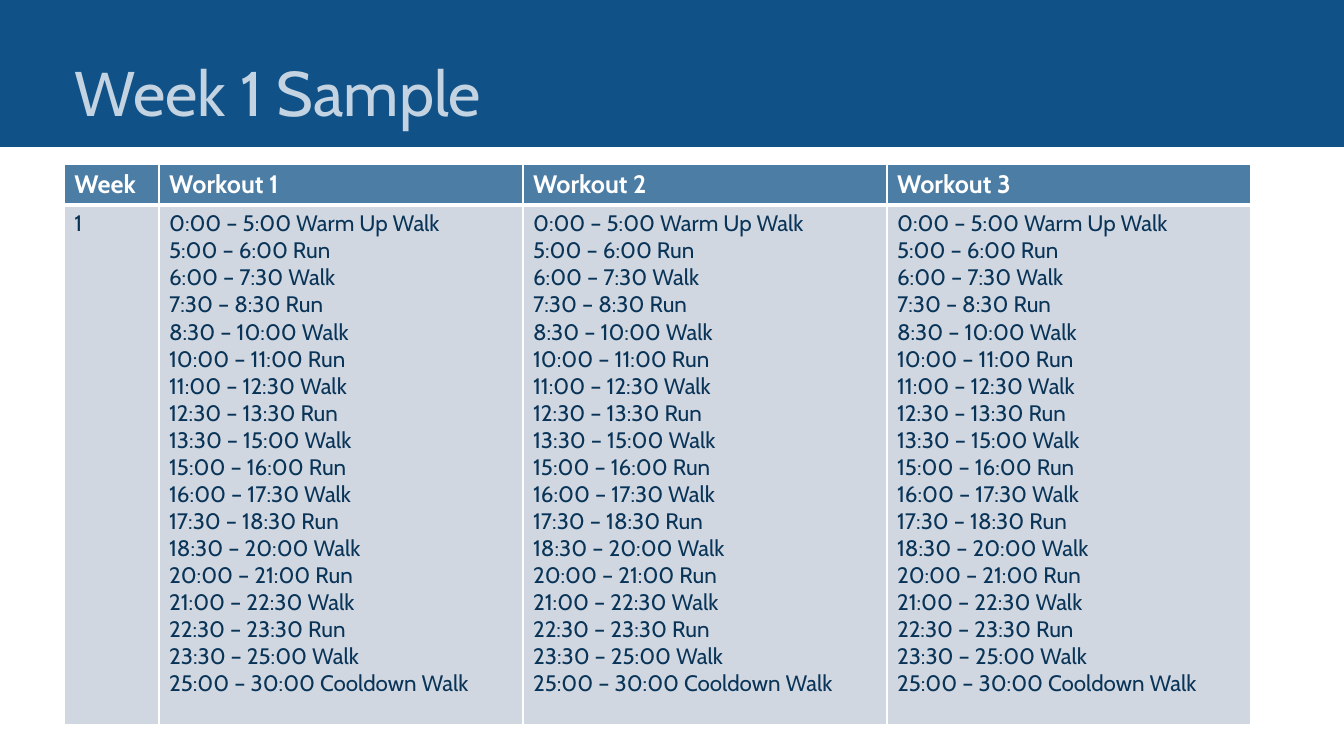
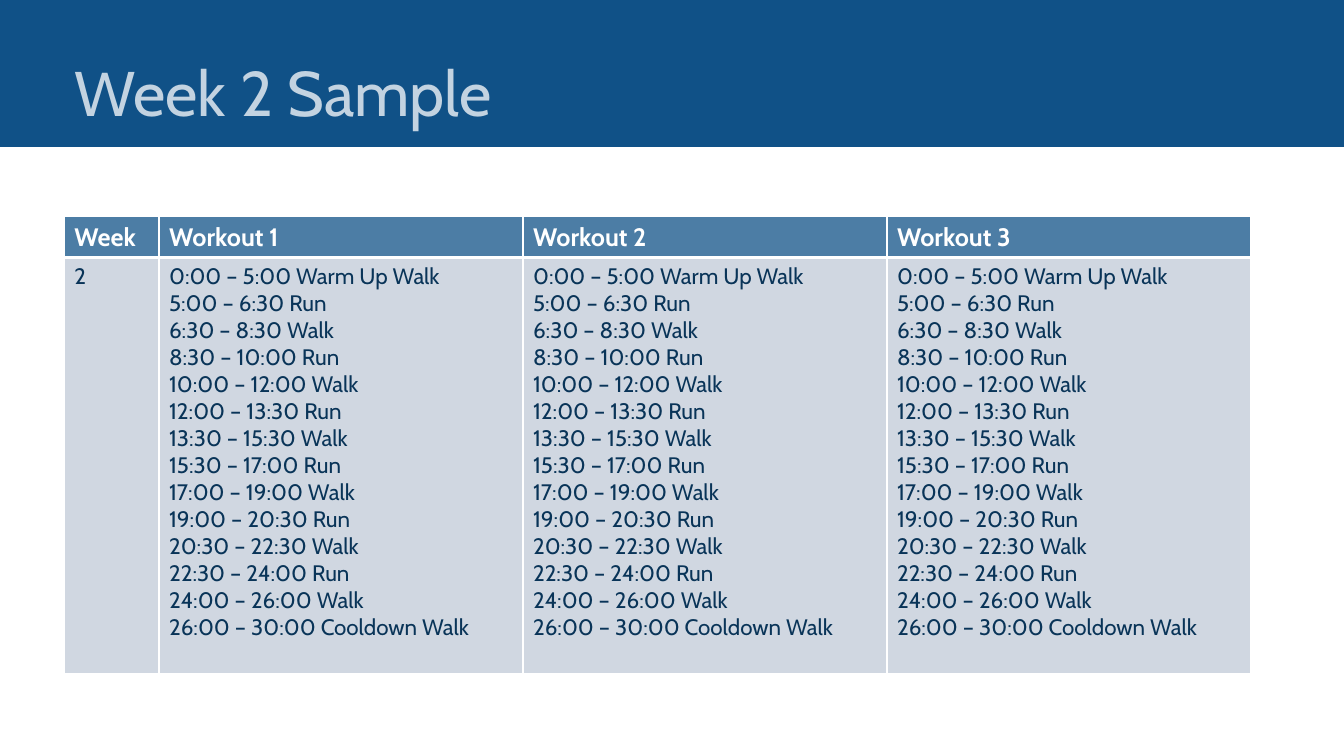
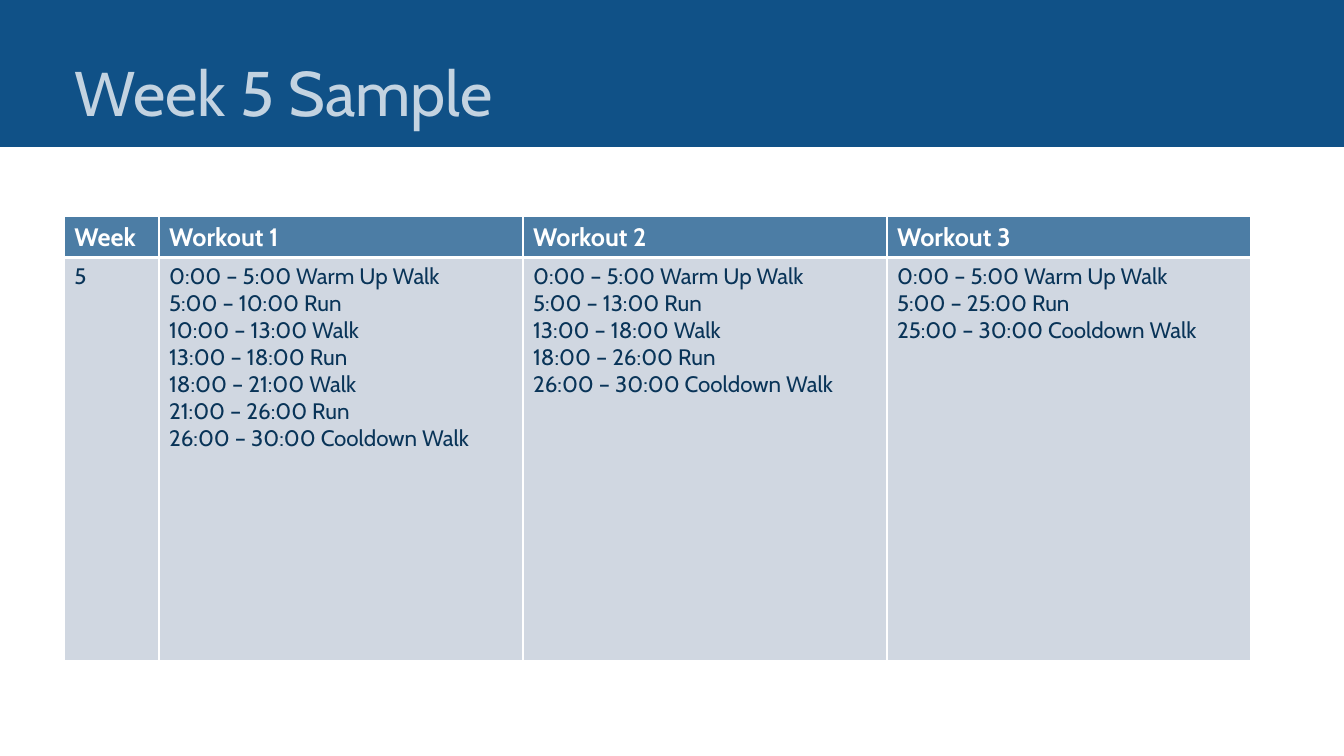
from pptx import Presentation
from pptx.dml.color import RGBColor
from pptx.enum.shapes import MSO_SHAPE
from pptx.enum.text import MSO_ANCHOR, MSO_AUTO_SIZE, PP_ALIGN
from pptx.oxml import parse_xml
from pptx.oxml.ns import nsdecls
from pptx.util import Pt

RECT = MSO_SHAPE.RECTANGLE
BOTTOM = MSO_ANCHOR.BOTTOM
LEFT = PP_ALIGN.LEFT
NO_AUTOFIT = MSO_AUTO_SIZE.NONE

BAND_BLUE = RGBColor(0x10, 0x51, 0x87)
TITLE_BLUE = RGBColor(0xC3, 0xD3, 0xE1)
HEADER_BLUE = RGBColor(0x4C, 0x7D, 0xA5)
CELL_GREY = RGBColor(0xD0, 0xD7, 0xE1)
NAVY = RGBColor(0x09, 0x34, 0x58)
WHITE = RGBColor(0xFF, 0xFF, 0xFF)

FONT = "Cabin"
SLIDE_W, SLIDE_H = 960, 540
MARGIN = 46
BAND_H = 105
COL_WIDTHS = [67.6, 260, 260, 260]
HEADER_H = 29.2
THIN, THICK = 1, 3

WEEK_1 = ("0:00 5:00 6:00 7:30 8:30 10:00 11:00 12:30 13:30 15:00 16:00 17:30 "
          "18:30 20:00 21:00 22:30 23:30 25:00 30:00")
WEEK_2 = ("0:00 5:00 6:30 8:30 10:00 12:00 13:30 15:30 17:00 19:00 20:30 22:30 "
          "24:00 26:00 30:00")
WEEK_5 = [
    "0:00 5:00 10:00 13:00 18:00 21:00 26:00 30:00",
    "0:00 5:00 13:00 18:00 26:00 30:00",
    "0:00 5:00 25:00 30:00",
]
WEEKS = [
    (1, [WEEK_1] * 3, 117.4, 371),
    (2, [WEEK_2] * 3, 154.8, 297),
    (5, WEEK_5, 154.8, 288),
]


def workout_text(times):
    marks = times.split()
    spans = list(zip(marks, marks[1:]))
    steps = ["Run" if i % 2 else "Walk" for i in range(len(spans))]
    steps[0], steps[-1] = "Warm Up Walk", "Cooldown Walk"
    return "\n".join(f"{a} – {b} {step}" for (a, b), step in zip(spans, steps))


def set_font(tf, size, color, bold=False):
    for p in tf.paragraphs:
        for r in p.runs:
            r.font.name = FONT
            r.font.size = Pt(size)
            r.font.bold = bold
            r.font.color.rgb = color


def style_layout(prs, layout):
    s = prs.slides.add_slide(layout)
    band = s.shapes.add_shape(RECT, 0, 0, Pt(SLIDE_W), Pt(BAND_H))
    band.shadow.inherit = False
    band.fill.solid()
    band.fill.fore_color.rgb = BAND_BLUE
    band.line.fill.background()
    layout.shapes.element.insert(2, band.element)
    title = layout.placeholders[0]
    title.left, title.top = Pt(MARGIN), Pt(6.5)
    title.width, title.height = Pt(757.5), Pt(90)
    return s


def add_title(s, text):
    tf = s.shapes.title.text_frame
    tf.text = text
    tf.word_wrap = True
    tf.auto_size = NO_AUTOFIT
    tf.vertical_anchor = BOTTOM
    p = tf.paragraphs[0]
    p.alignment = LEFT
    p.line_spacing = 0.9
    set_font(tf, 45, TITLE_BLUE)


def set_borders(cell, top, bottom):
    tcPr = cell._tc.get_or_add_tcPr()
    for side, width in zip("LRTB", (THIN, THIN, top, bottom)):
        tcPr.append(parse_xml(
            f'<a:ln{side} {nsdecls("a")} w="{Pt(width)}"><a:solidFill>'
            f'<a:srgbClr val="{WHITE}"/></a:solidFill></a:ln{side}>'))


def fill_row(row, texts, fill, borders, font):
    for cell, text in zip(row.cells, texts):
        cell.text_frame.text = text
        set_font(cell.text_frame, *font)
        set_borders(cell, *borders)
        cell.fill.solid()
        cell.fill.fore_color.rgb = fill


def add_schedule(s, week, workouts, top, body_h):
    table = s.shapes.add_table(2, len(COL_WIDTHS), Pt(MARGIN), Pt(top),
                               Pt(sum(COL_WIDTHS)), Pt(HEADER_H + body_h)).table
    for col, width in zip(table.columns, COL_WIDTHS):
        col.width = Pt(width)
    header, body = table.rows
    header.height, body.height = Pt(HEADER_H), Pt(body_h)
    names = ["Week"] + [f"Workout {i}" for i in range(1, len(workouts) + 1)]
    fill_row(header, names, HEADER_BLUE, (THIN, THICK), (18, WHITE, True))
    texts = [str(week)] + [workout_text(times) for times in workouts]
    fill_row(body, texts, CELL_GREY, (THICK, THIN), (16, NAVY))


def main():
    prs = Presentation()
    prs.slide_width, prs.slide_height = Pt(SLIDE_W), Pt(SLIDE_H)
    layout = prs.slide_layouts.get_by_name("Title Only")
    s = style_layout(prs, layout)
    for i, (week, workouts, top, body_h) in enumerate(WEEKS):
        if i:
            s = prs.slides.add_slide(layout)
        add_title(s, f"Week {week} Sample")
        add_schedule(s, week, workouts, top, body_h)
    prs.save("out.pptx")


if __name__ == "__main__":
    main()
